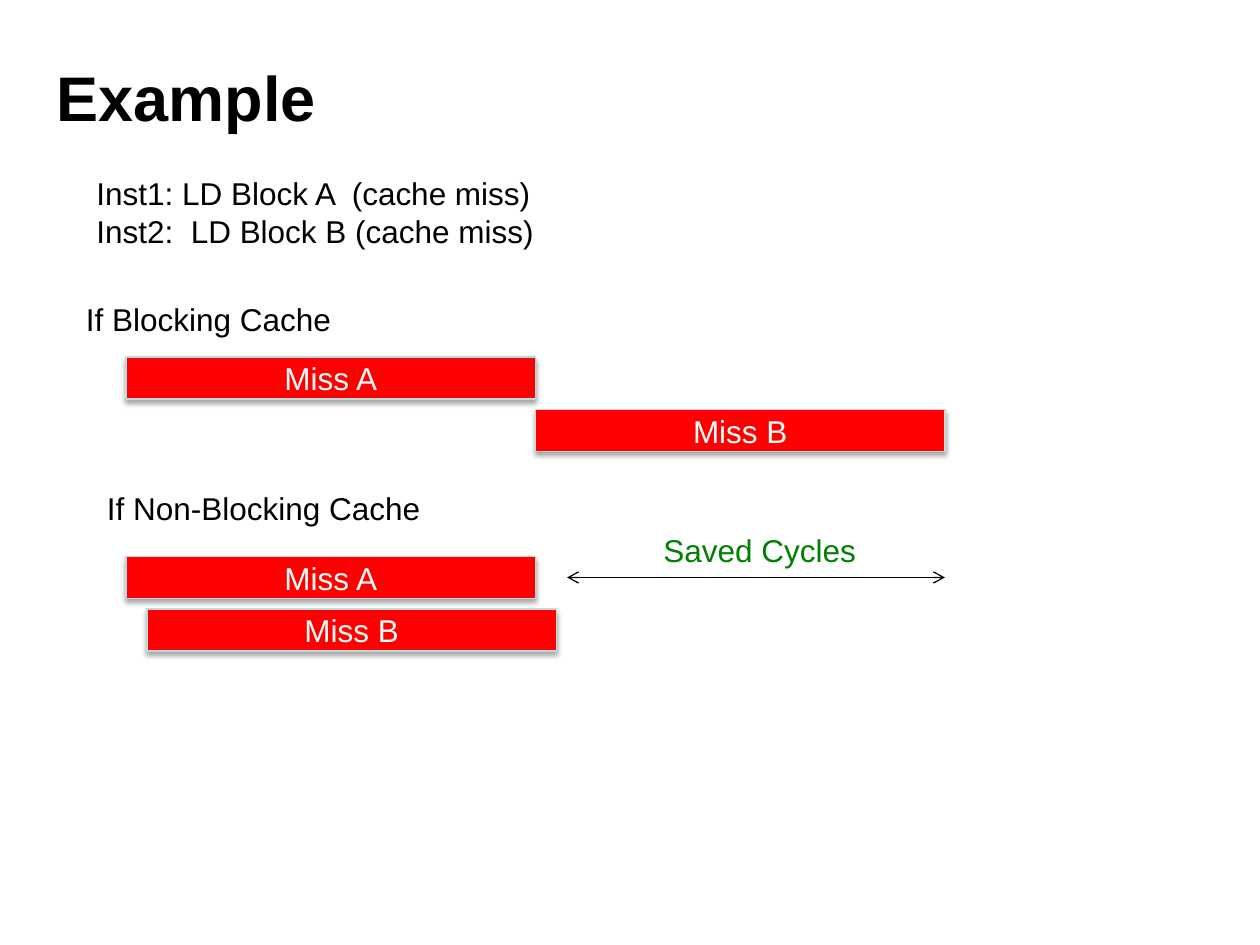
"""Build a slide that compares blocking and non-blocking cache misses."""
from dataclasses import dataclass

from lxml.etree import SubElement
from pptx import Presentation
from pptx.dml.color import RGBColor
from pptx.enum.shapes import MSO_CONNECTOR, MSO_SHAPE
from pptx.enum.text import MSO_ANCHOR, MSO_AUTO_SIZE, PP_ALIGN
from pptx.oxml.ns import qn
from pptx.slide import Slide
from pptx.text.text import _Paragraph
from pptx.util import Inches, Pt

BLACK = RGBColor(0x00, 0x00, 0x00)
WHITE = RGBColor(0xFF, 0xFF, 0xFF)
RED = RGBColor(0xFF, 0x00, 0x00)
GREEN = RGBColor(0x00, 0x80, 0x00)
PALE_TEAL = RGBColor(0xB6, 0xDC, 0xDF)

WIDTH, HEIGHT = Inches(10), Inches(7.5)
COLUMNS, ROWS = 120, 90
MISS_COLUMNS, MISS_ROWS = 39, 4
FONT = "Arial"


@dataclass(frozen=True)
class Miss:
    block: str
    column: int
    row: int


@dataclass(frozen=True)
class Caption:
    lines: tuple[str, ...]
    column: int
    row: int
    columns: float
    rows: float
    color: RGBColor = BLACK
    wrap: bool = False


MISSES = (
    Miss("A", 12, 34),
    Miss("B", 12 + MISS_COLUMNS, 39),
    Miss("A", 12, 53),
    Miss("B", 14, 58),
)

CAPTIONS = (
    Caption(("Inst1: LD Block A  (cache miss)", "Inst2:  LD Block B (cache miss)"),
            8, 16, 60, 8.5, wrap=True),
    Caption(("If Blocking Cache",), 7, 28, 26, 4.8),
    Caption(("If Non-Blocking Cache",), 9, 46, 32.5, 4.8),
    Caption(("Saved Cycles",), 62, 50, 21, 4.8, GREEN),
)


def across(columns: float) -> int:
    """Return the width of a number of grid columns."""
    return round(WIDTH * columns / COLUMNS)


def down(rows: float) -> int:
    """Return the height of a number of grid rows."""
    return round(HEIGHT * rows / ROWS)


def write(paragraph: _Paragraph, words: str, color: RGBColor,
          size: int = 18, bold: bool = False) -> None:
    """Add one formatted run to a paragraph."""
    run = paragraph.add_run()
    run.text = words
    run.font.name = FONT
    run.font.size = Pt(size)
    run.font.bold = bold
    run.font.color.rgb = color


def draw_title(slide: Slide, words: str) -> None:
    """Place and fill the title placeholder."""
    title = slide.shapes.title
    title.left, title.top = across(4.2), down(4.2)
    title.width, title.height = across(108), down(10)
    frame = title.text_frame
    frame.auto_size = MSO_AUTO_SIZE.NONE
    frame.vertical_anchor = MSO_ANCHOR.MIDDLE
    frame.paragraphs[0].alignment = PP_ALIGN.LEFT
    write(frame.paragraphs[0], words, BLACK, 36, True)


def draw_miss(slide: Slide, miss: Miss) -> None:
    """Draw the bar of one cache miss with its soft shadow."""
    bar = slide.shapes.add_shape(
        MSO_SHAPE.RECTANGLE, across(miss.column), down(miss.row),
        across(MISS_COLUMNS), down(MISS_ROWS))
    bar.fill.solid()
    bar.fill.fore_color.rgb = RED
    bar.line.color.rgb = PALE_TEAL
    bar.line.width = Pt(0.75)
    bar.shadow.inherit = False
    effects = bar._element.spPr.find(qn("a:effectLst"))
    shadow = SubElement(effects, qn("a:outerShdw"), blurRad=str(Pt(3.1)),
                        dist=str(Pt(1.8)), dir="5400000", rotWithShape="0")
    tint = SubElement(shadow, qn("a:srgbClr"), val=str(BLACK))
    SubElement(tint, qn("a:alpha"), val="35000")
    frame = bar.text_frame
    frame.vertical_anchor = MSO_ANCHOR.MIDDLE
    frame.paragraphs[0].alignment = PP_ALIGN.CENTER
    write(frame.paragraphs[0], f"Miss {miss.block}", WHITE)


def draw_caption(slide: Slide, caption: Caption) -> None:
    """Draw a text box with one paragraph per line."""
    frame = slide.shapes.add_textbox(
        across(caption.column), down(caption.row),
        across(caption.columns), down(caption.rows)).text_frame
    frame.word_wrap = caption.wrap
    frame.auto_size = MSO_AUTO_SIZE.SHAPE_TO_FIT_TEXT
    for index, line in enumerate(caption.lines):
        paragraph = frame.add_paragraph() if index else frame.paragraphs[0]
        write(paragraph, line, caption.color)


def draw_span(slide: Slide, start: int, end: int, row: int) -> None:
    """Draw a horizontal arrow with a head at both ends."""
    span = slide.shapes.add_connector(
        MSO_CONNECTOR.STRAIGHT, across(start), down(row), across(end), down(row))
    span.line.color.rgb = BLACK
    span.line.width = Pt(0.75)
    properties = span._element.spPr
    for end_tag in ("a:headEnd", "a:tailEnd"):
        SubElement(properties.find(qn("a:ln")), qn(end_tag), type="arrow")
    SubElement(properties, qn("a:effectLst"))


def main() -> None:
    """Build and save the slide."""
    deck = Presentation()
    deck.slide_width, deck.slide_height = WIDTH, HEIGHT
    slide = deck.slides.add_slide(deck.slide_layouts.get_by_name("Title Only"))
    draw_title(slide, "Example")
    for miss in MISSES:
        draw_miss(slide, miss)
    for caption in CAPTIONS:
        draw_caption(slide, caption)
    draw_span(slide, 54, 90, 55)
    deck.save("out.pptx")


if __name__ == "__main__":
    main()
